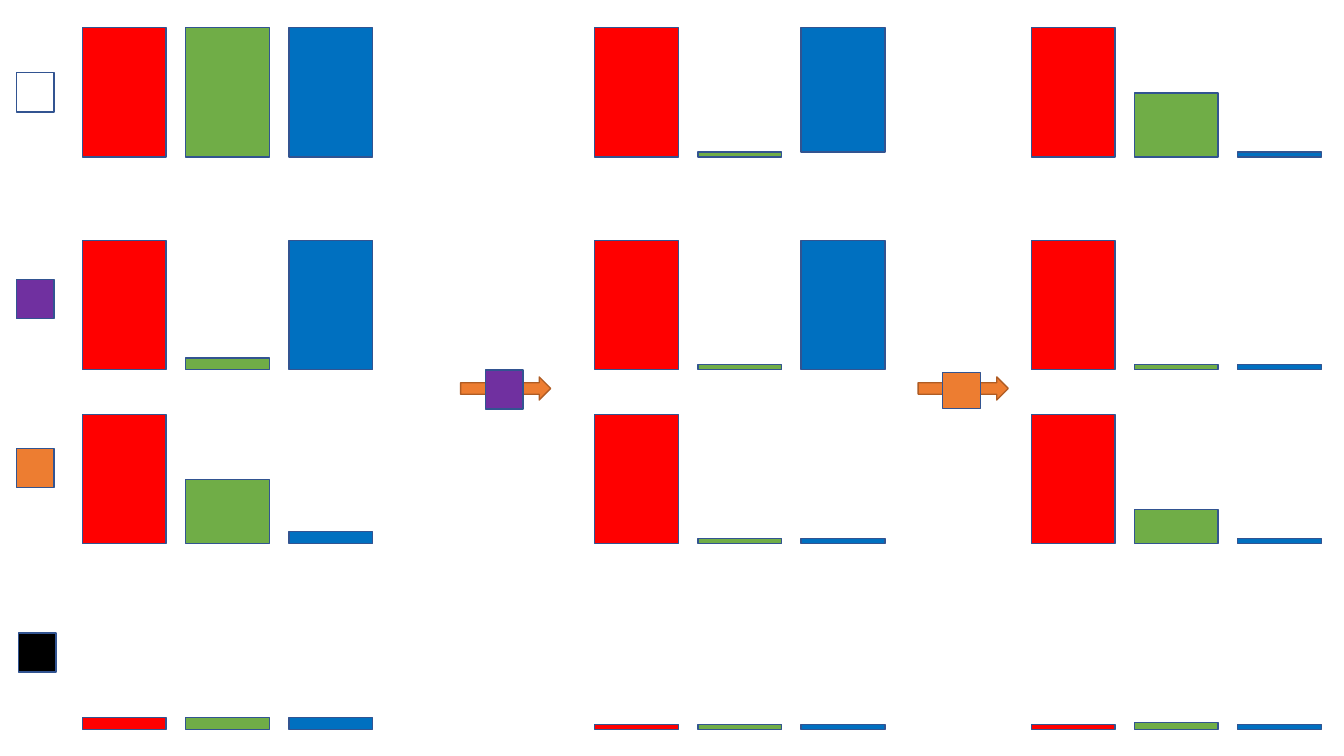
from pptx import Presentation
from pptx.dml.color import RGBColor
from pptx.enum.shapes import MSO_SHAPE as Shape
from pptx.util import Cm, Pt

RED = RGBColor(0xFF, 0x00, 0x00)
GREEN = RGBColor(0x70, 0xAD, 0x47)
BLUE = RGBColor(0x00, 0x70, 0xC0)
PURPLE = RGBColor(0x70, 0x30, 0xA0)
ORANGE = RGBColor(0xED, 0x7D, 0x31)
WHITE = RGBColor(0xFF, 0xFF, 0xFF)
BLACK = RGBColor(0x00, 0x00, 0x00)
NAVY = RGBColor(0x32, 0x54, 0x91)
BROWN = RGBColor(0xAF, 0x5C, 0x24)

# Lengths in centimetres
BAR, STEP = 2.11, 2.6
FULL, HALF, LOW, THIN = 3.26, 1.62, 0.3, 0.13
STAGES = (2.08, 14.99, 25.99)

# Baseline, then red, green and blue heights at each stage
ROWS = (
    (3.96, ((FULL, FULL, FULL), (FULL, THIN, FULL - THIN), (FULL, HALF, THIN))),
    (9.32, ((FULL, LOW, FULL), (FULL, THIN, FULL), (FULL, THIN, THIN))),
    (13.7, ((FULL, HALF, LOW), (FULL, THIN, THIN), (FULL, 0.86, THIN))),
    (18.38, ((LOW, LOW, LOW), (THIN, THIN, THIN), (THIN, 0.18, THIN))),
)
LIFTS = {(0, 1, 2): THIN}  # row, stage, colour of the bar that floats

# Colour, left and top of each source light
LIGHTS = (
    (WHITE, 0.41, 1.83),
    (PURPLE, 0.41, 7.04),
    (ORANGE, 0.41, 11.3),
    (BLACK, 0.46, 15.95),
)
# Arrow left, then filter colour, top and height
FILTERS = ((11.61, PURPLE, 9.32, 0.99), (23.14, ORANGE, 9.38, 0.91))


class Board:
    def __init__(self, slide, edge=NAVY, width=Pt(1)):
        self.slide, self.edge, self.width = slide, edge, width

    def shape(self, kind, left, top, wide, high, fill, edge=None):
        item = self.slide.shapes.add_shape(
            kind, Cm(left), Cm(top), Cm(wide), Cm(high))
        item.shadow.inherit = False
        item.fill.solid()
        item.fill.fore_color.rgb = fill
        item.line.color.rgb = edge or self.edge
        item.line.width = self.width

    def bar(self, left, base, high, fill):
        self.shape(Shape.RECTANGLE, left, base - high, BAR, high, fill)

    def swatch(self, left, top, fill, high=0.99):
        self.shape(Shape.RECTANGLE, left, top, 0.95, high, fill)

    def arrow(self, left):
        self.shape(Shape.RIGHT_ARROW, left, 9.5, 2.27, 0.58, ORANGE, BROWN)


def main():
    deck = Presentation()
    deck.slide_width, deck.slide_height = Cm(33.87), Cm(19.05)
    board = Board(deck.slides.add_slide(deck.slide_layouts[6]))

    for row, (base, groups) in enumerate(ROWS):
        for stage, (left, group) in enumerate(zip(STAGES, groups)):
            for hue, (high, fill) in enumerate(zip(group, (RED, GREEN, BLUE))):
                lift = LIFTS.get((row, stage, hue), 0)
                board.bar(left + hue * STEP, base - lift, high, fill)

    for fill, left, top in LIGHTS:
        board.swatch(left, top, fill)

    for left, fill, top, high in FILTERS:
        board.arrow(left)
        board.swatch(left + 0.62, top, fill, high)

    deck.save("out.pptx")


if __name__ == "__main__":
    main()
